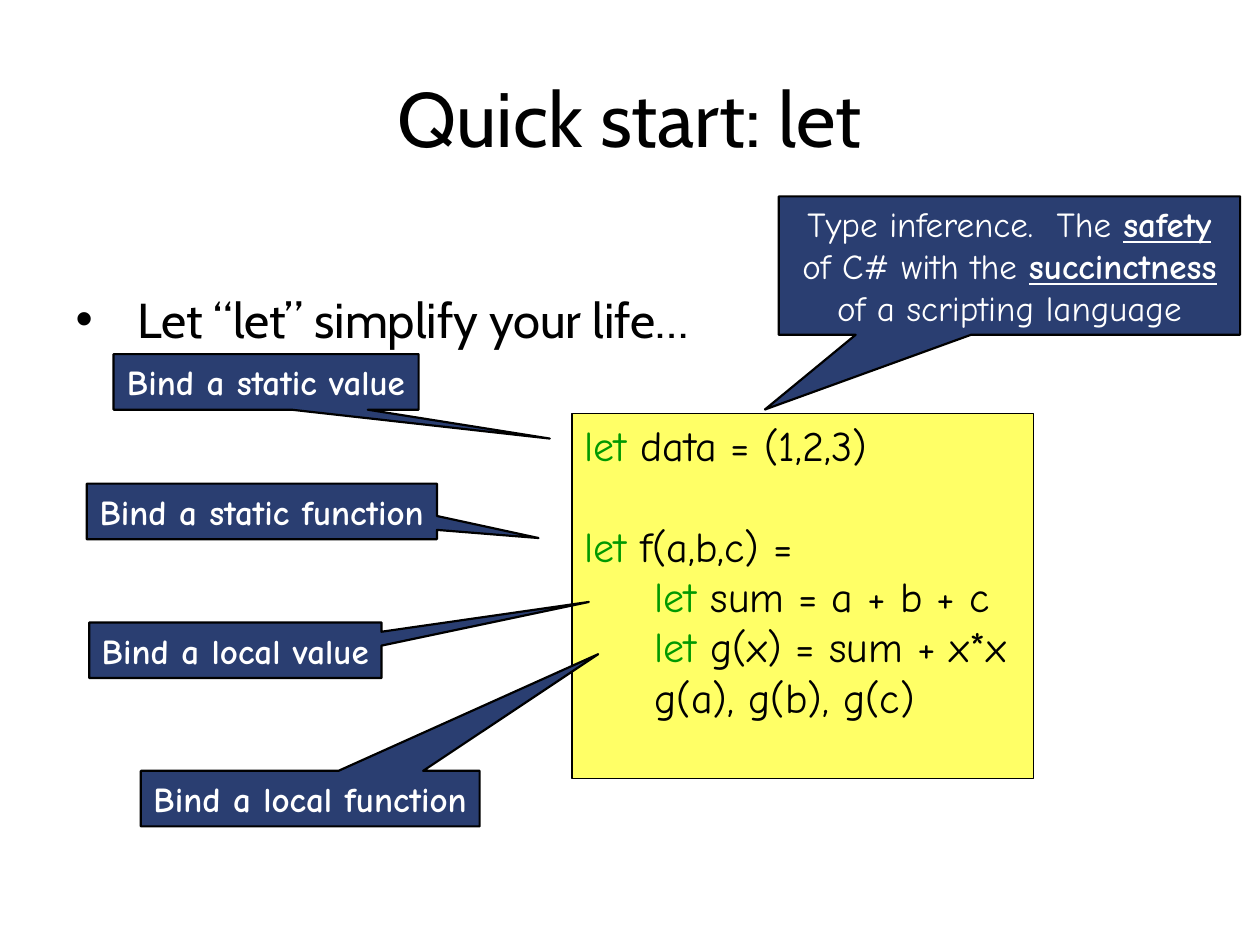
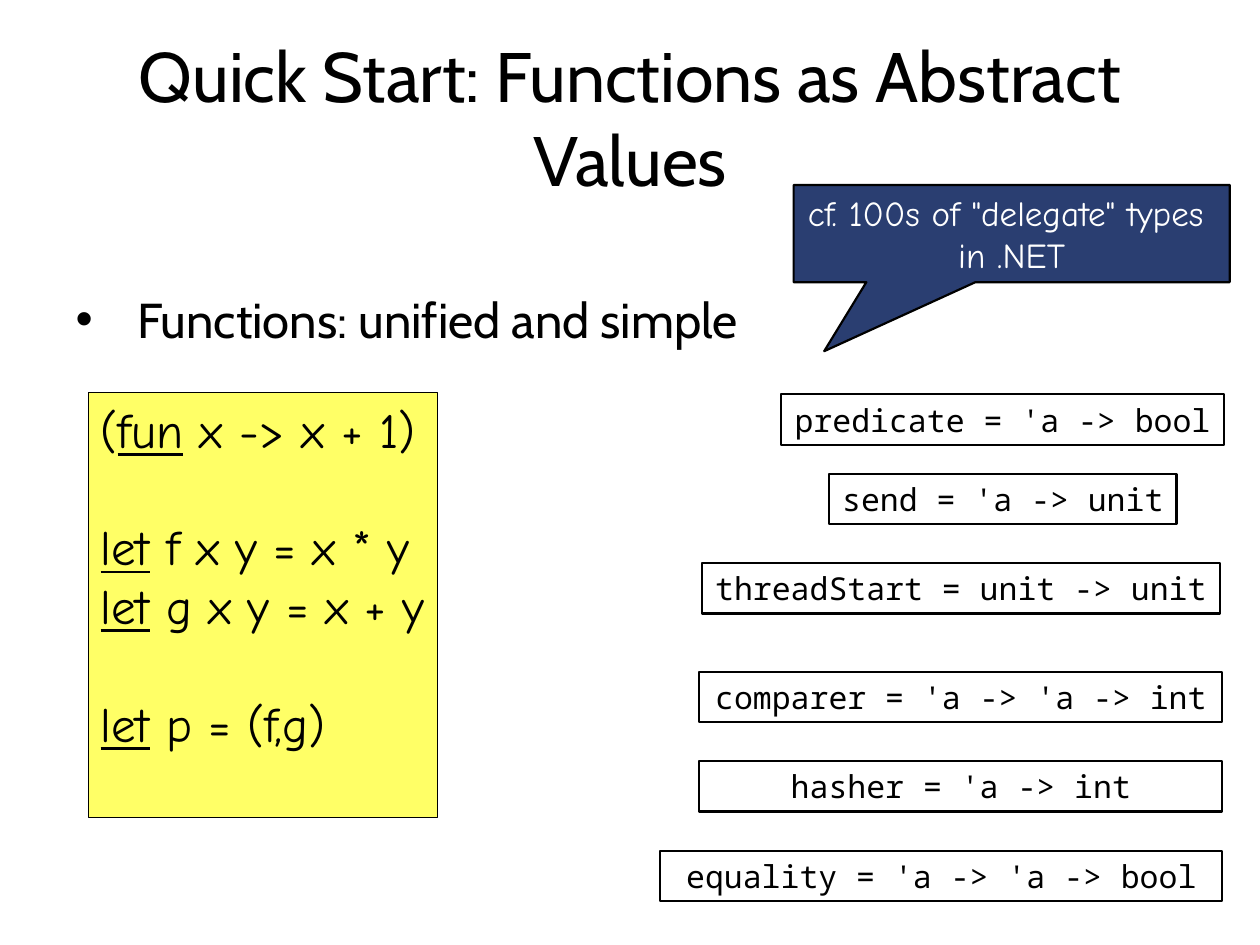
from dataclasses import dataclass

from lxml.etree import SubElement
from pptx import Presentation
from pptx.dml.color import RGBColor
from pptx.enum.shapes import MSO_SHAPE
from pptx.enum.text import MSO_ANCHOR, MSO_AUTO_SIZE, PP_ALIGN
from pptx.oxml.ns import qn
from pptx.util import Cm, Pt


@dataclass(frozen=True)
class Theme:
    ink: RGBColor = RGBColor.from_string("000000")
    paper: RGBColor = RGBColor.from_string("FFFFFF")
    code_fill: RGBColor = RGBColor.from_string("FFFF66")
    keyword: RGBColor = RGBColor.from_string("009900")
    callout_fill: RGBColor = RGBColor.from_string("2A3E71")
    heading_font: str = "Cabin"
    hand_font: str = "Comic Neue"
    mono_font: str = "Noto Sans Mono"
    title_size: int = 44
    long_title_size: int = 40
    list_size: int = 28
    code_size: int = 24
    large_code_size: int = 28
    callout_size: int = 20
    signature_size: int = 18
    thin_line: float = 0.75
    thick_line: float = 1.25
    line_height: float = 1.2


# Span styles
def keyword(text):
    return text, {"color": THEME.keyword}


def underlined(text):
    return text, {"underline": True}


def strong(text):
    return text, {"bold": True, "underline": True}


THEME = Theme()
LET = keyword("let")
LET_UNDERLINED = underlined("let")
INDENT = " " * 5


class DeckBuilder:
    def __init__(self, theme):
        self.theme = theme
        self.deck = Presentation()
        self.deck.slide_width = Cm(25.4)
        self.deck.slide_height = Cm(19.05)
        self.page = None

    def add_page(self, title, bullet, title_size):
        self.page = self.deck.slides.add_slide(self.deck.slide_layouts[1])
        self.title(title, title_size)
        self.bullet(bullet)

    def place(self, box, left, top, width, height):
        box.left, box.top = Cm(left), Cm(top)
        box.width, box.height = Cm(width), Cm(height)

    def span(self, para, text, font, size, color, bold=False, underline=False):
        span = para.add_run()
        span.text = text
        span.font.name = font
        span.font.size = Pt(size)
        span.font.color.rgb = color
        span.font.bold = bold
        span.font.underline = underline

    def title(self, text, size):
        box = self.page.shapes.title
        self.place(box, 1.27, 0.76, 22.86, 3.18)
        frame = box.text_frame
        frame.auto_size = MSO_AUTO_SIZE.NONE
        frame.vertical_anchor = MSO_ANCHOR.MIDDLE
        para = frame.paragraphs[0]
        para.alignment = PP_ALIGN.CENTER
        self.span(para, text, self.theme.heading_font, size, self.theme.ink)

    def bullet(self, text):
        box = self.page.placeholders[1]
        self.place(box, 1.27, 5.94, 22.86, 11.07)
        frame = box.text_frame
        frame.auto_size = MSO_AUTO_SIZE.NONE
        para = frame.paragraphs[0]
        para.line_spacing = 0.8
        para.space_before = Pt(0)
        properties = para._p.get_or_add_pPr()
        properties.set("marL", str(Cm(1.24)))
        properties.set("indent", str(-Cm(1.24)))
        SubElement(properties, qn("a:buFont"), typeface="Arial")
        SubElement(properties, qn("a:buChar"), char="•")
        self.span(para, text, self.theme.heading_font,
                  self.theme.list_size, self.theme.ink)

    def panel(self, kind, area, fill, line_width):
        box = self.page.shapes.add_shape(kind, *(Cm(length) for length in area))
        box.shadow.inherit = False
        box.fill.solid()
        box.fill.fore_color.rgb = fill
        box.line.color.rgb = self.theme.ink
        box.line.width = Pt(line_width)
        return box

    def add_lines(self, frame, lines, alignment, **style):
        """Each line is a list of spans; an empty line becomes spacing."""
        gap = 0
        para = None
        for line in lines:
            if not line:
                gap += style["size"] * self.theme.line_height
                continue
            para = frame.add_paragraph() if para else frame.paragraphs[0]
            para.alignment = alignment
            para.space_before = Pt(gap)
            gap = 0
            for part in line:
                text, change = (part, {}) if isinstance(part, str) else part
                self.span(para, text, **{**style, **change})

    def code(self, area, lines, size):
        box = self.panel(MSO_SHAPE.RECTANGLE, area,
                         self.theme.code_fill, self.theme.thin_line)
        frame = box.text_frame
        frame.word_wrap = True
        frame.margin_right = 0
        frame.vertical_anchor = MSO_ANCHOR.TOP
        self.add_lines(frame, lines, PP_ALIGN.LEFT, font=self.theme.hand_font,
                       size=size, color=self.theme.ink)

    def callout(self, area, tip, lines, bold=False, wrap=False):
        """The tip is measured from the centre, in box widths and heights."""
        box = self.panel(MSO_SHAPE.RECTANGULAR_CALLOUT, area,
                         self.theme.callout_fill, self.theme.thick_line)
        box.adjustments[0], box.adjustments[1] = tip
        frame = box.text_frame
        frame.word_wrap = wrap
        frame.vertical_anchor = MSO_ANCHOR.MIDDLE
        self.add_lines(frame, lines, PP_ALIGN.CENTER, font=self.theme.hand_font,
                       size=self.theme.callout_size, color=self.theme.paper,
                       bold=bold)

    def signature(self, left, top, width, text):
        box = self.panel(MSO_SHAPE.RECTANGLE, (left, top, width, 1.02),
                         self.theme.paper, self.theme.thick_line)
        frame = box.text_frame
        frame.word_wrap = False
        frame.vertical_anchor = MSO_ANCHOR.MIDDLE
        self.add_lines(frame, [[text]], PP_ALIGN.CENTER, font=self.theme.mono_font,
                       size=self.theme.signature_size, color=self.theme.ink)


def build_let_page(builder):
    builder.add_page("Quick start: let", "Let “let” simplify your life…",
                     THEME.title_size)
    builder.code((11.53, 8.33, 9.3, 7.37), [
        [LET, " data = (1,2,3)"],
        [],
        [LET, " f(a,b,c) ="],
        [INDENT, LET, " sum = a + b + c"],
        [INDENT, LET, " g(x) = sum + x*x"],
        [INDENT + "g(a), g(b), g(c)"],
    ], THEME.code_size)

    # Labels pointing at the lines of code
    bindings = [
        (2.29, 7.14, 6.15, (0.93, 1.02), "static value"),
        (1.75, 9.75, 7.06, (0.79, 0.48), "static function"),
        (1.8, 12.55, 5.89, (1.21, -0.87), "local value"),
        (2.84, 15.54, 6.83, (0.85, -2.6), "local function"),
    ]
    for left, top, width, tip, target in bindings:
        builder.callout((left, top, width, 1.12), tip,
                        [["Bind a " + target]], bold=True)

    builder.callout((15.7, 3.96, 9.3, 2.79), (-0.53, 1.04), [
        ["Type inference.  The ", strong("safety"), " of C# with the ",
         strong("succinctness"), " of a scripting language"],
    ], wrap=True)


def build_functions_page(builder):
    builder.add_page("Quick Start: Functions as Abstract Values",
                     "Functions: unified and simple", THEME.long_title_size)
    builder.code((1.78, 7.92, 7.04, 8.56), [
        ["(", underlined("fun"), " x -> x + 1)"],
        [],
        [LET_UNDERLINED, " f x y = x * y"],
        [LET_UNDERLINED, " g x y = x + y"],
        [],
        [LET_UNDERLINED, " p = (f,g)"],
    ], THEME.large_code_size)

    # Function types
    signatures = [
        (15.75, 7.95, 8.92, "predicate = 'a -> bool"),
        (16.71, 9.55, 7.01, "send = 'a -> unit"),
        (14.15, 11.35, 10.44, "threadStart = unit -> unit"),
        (14.1, 13.54, 10.54, "comparer = 'a -> 'a -> int"),
        (14.1, 15.34, 10.54, "hasher = 'a -> int"),
        (13.31, 17.15, 11.33, "equality = 'a -> 'a -> bool"),
    ]
    for left, top, width, text in signatures:
        builder.signature(left, top, width, text)

    builder.callout((16, 3.73, 8.79, 1.96), (-0.43, 1.21),
                    [["cf. 100s of \"delegate\" types "], ["in .NET"]])


def main():
    builder = DeckBuilder(THEME)
    build_let_page(builder)
    build_functions_page(builder)
    builder.deck.save("out.pptx")


if __name__ == "__main__":
    main()
